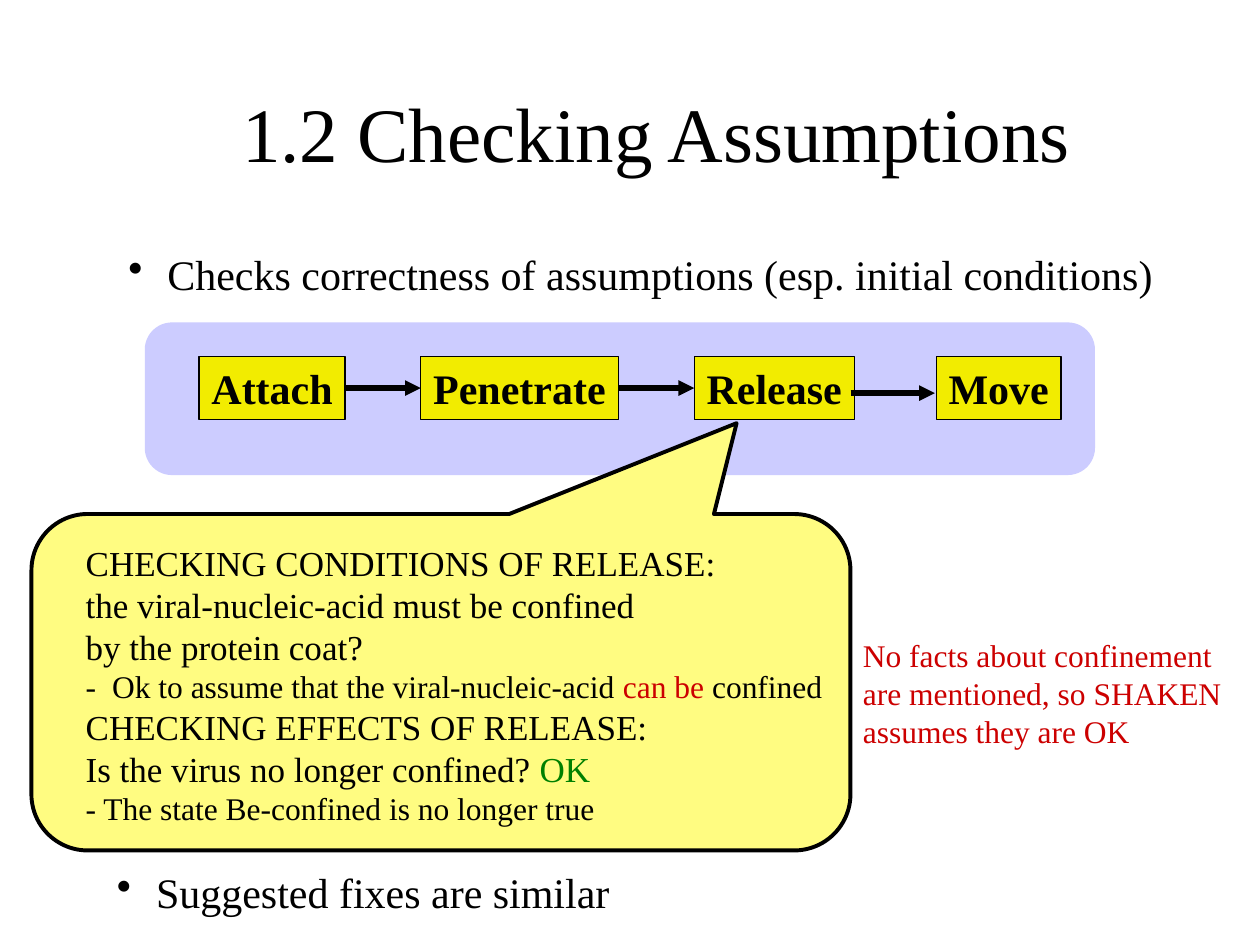
from dataclasses import dataclass

from pptx import Presentation, util as u
from pptx.dml.color import RGBColor
from pptx.enum import shapes, text
from pptx.oxml import ns, xmlchemy as xml

Inches, Pt = u.Inches, u.Pt


@dataclass(frozen=True)
class Theme:
    font: str = "Times New Roman"
    ink: str = "000000"
    panel: str = "CCCCFF"
    step: str = "F2EC00"
    callout: str = "FFFC81"
    alert: str = "CC0000"
    good: str = "008000"
    title_size: int = 44
    body_size: int = 24
    callout_size: int = 20
    note_size: int = 18


THEME = Theme()


def append_element(parent, tag, **attributes):
    element = xml.OxmlElement(tag)
    for name, value in attributes.items():
        element.set(name, str(value))
    parent.append(element)
    return element


def set_attributes(target, values):
    for name, value in values.items():
        setattr(target, name, value)


def add_runs(paragraph, runs, size, bold=False):
    """Add (wording, colour) runs to a paragraph."""
    for wording, color in runs:
        run = paragraph.add_run()
        run.text = wording
        set_attributes(run.font, {"name": THEME.font, "size": Pt(size), "bold": bold})
        run.font.color.rgb = RGBColor.from_string(color)


def format_frame(shape, **changes):
    """Set the usual margins and wrapping, with changes where given."""
    frame = shape.text_frame
    values = {"margin_left": Inches(0.1), "margin_right": Inches(0.1),
              "margin_top": Inches(0.05), "margin_bottom": Inches(0.05),
              "word_wrap": True, "vertical_anchor": text.MSO_ANCHOR.TOP}
    set_attributes(frame, {**values, **changes})
    return frame


def add_text_box(slide, box, **changes):
    return format_frame(slide.shapes.add_textbox(*map(Inches, box)), **changes)


def add_filled_shape(slide, kind, box, fill, line, width):
    shape = slide.shapes.add_shape(kind, *map(Inches, box))
    shape.shadow.inherit = False
    shape.fill.solid()
    shape.fill.fore_color.rgb = RGBColor.from_string(fill)
    shape.line.color.rgb = RGBColor.from_string(line)
    shape.line.width = Pt(width)
    return shape


def add_arrow(slide, start, end):
    arrow = slide.shapes.add_connector(
        shapes.MSO_CONNECTOR.STRAIGHT, *map(Inches, (*start, *end)))
    arrow.line.color.rgb = RGBColor.from_string(THEME.ink)
    arrow.line.width = Pt(3)
    append_element(arrow.line._get_or_add_ln(), "a:tailEnd", type="triangle")
    append_element(arrow._element.find(ns.qn("p:spPr")), "a:effectLst")
    return arrow


def add_title(slide, box, wording):
    frame = add_text_box(slide, box, vertical_anchor=text.MSO_ANCHOR.MIDDLE)
    paragraph = frame.paragraphs[0]
    paragraph.alignment = text.PP_ALIGN.CENTER
    add_runs(paragraph, [(wording, THEME.ink)], THEME.title_size)


def add_bullet(slide, box, wording):
    paragraph = add_text_box(slide, box).paragraphs[0]
    properties = paragraph._p.get_or_add_pPr()
    indent = Inches(0.31)
    properties.set("marL", str(indent))
    properties.set("indent", str(-indent))
    append_element(properties, "a:buChar", char="•")
    add_runs(paragraph, [(wording, THEME.ink)], THEME.body_size)


def add_process(slide, box):
    """Draw the panel with its four steps and the arrows between them."""
    left, top, _, _ = box
    panel = add_filled_shape(slide, shapes.MSO_SHAPE.ROUNDED_RECTANGLE, box,
                             THEME.panel, THEME.panel, 3)
    panel.adjustments[0] = 0.167

    # Steps: name, offset from the panel, width
    steps = []
    for name, offset, width in (("Attach", 0.41, 1.16), ("Penetrate", 2.17, 1.57),
                                ("Release", 4.34, 1.27), ("Move", 6.26, 0.99)):
        step = add_filled_shape(slide, shapes.MSO_SHAPE.RECTANGLE,
                                (left + offset, top + 0.25, width, 0.5),
                                THEME.step, THEME.ink, 0.75)
        paragraph = format_frame(step, word_wrap=False).paragraphs[0]
        paragraph.alignment = text.PP_ALIGN.LEFT
        add_runs(paragraph, [(name, THEME.ink)], THEME.body_size, bold=True)
        steps.append(step)

    # Joined arrows, then the last one, which sits a little below the middle
    for before, after in zip(steps[:2], steps[1:3]):
        arrow = add_arrow(slide, (left, top), (left, top))
        arrow.begin_connect(before, 3)
        arrow.end_connect(after, 1)
    add_arrow(slide, (left + 5.58, top + 0.54), (left + 6.25, top + 0.54))


def add_callout(slide, box, lines):
    callout = add_filled_shape(slide, shapes.MSO_SHAPE.ROUNDED_RECTANGULAR_CALLOUT,
                               box, THEME.callout, THEME.ink, 2.25)
    for index, value in enumerate((0.361, -0.77, 0.167)):
        callout.adjustments[index] = value
    frame = format_frame(callout, margin_left=Inches(0.3), margin_right=0,
                         margin_top=Inches(0.03), margin_bottom=0,
                         vertical_anchor=text.MSO_ANCHOR.MIDDLE)
    for index, (size, runs) in enumerate(lines):
        paragraph = frame.add_paragraph() if index else frame.paragraphs[0]
        paragraph.alignment = text.PP_ALIGN.LEFT
        if "\t" in runs[0][0]:
            tabs = append_element(paragraph._p.get_or_add_pPr(), "a:tabLst")
            append_element(tabs, "a:tab", pos=Inches(0.21), algn="l")
        add_runs(paragraph, runs, size)


def add_side_note(slide, box, lines):
    frame = add_text_box(slide, box)
    for index, line in enumerate(lines):
        paragraph = frame.add_paragraph() if index else frame.paragraphs[0]
        add_runs(paragraph, [(line, THEME.alert)], THEME.note_size)


def main():
    presentation = Presentation()
    presentation.slide_width, presentation.slide_height = Inches(10), Inches(7.5)
    slide = presentation.slides.add_slide(presentation.slide_layouts[6])
    ink, large, small = THEME.ink, THEME.callout_size, THEME.note_size

    add_title(slide, (0.75, 0.42, 8.92, 1.25), "1.2 Checking Assumptions")
    add_process(slide, (1.17, 2.58, 7.5, 1.17))
    add_callout(slide, (0.25, 4.08, 6.5, 2.67), [
        (large, [("CHECKING CONDITIONS OF RELEASE:", ink)]),
        (large, [("the viral-nucleic-acid must be confined", ink)]),
        (large, [("by the protein coat?", ink)]),
        (small, [("-\tOk to assume that the viral-nucleic-acid ", ink),
                 ("can be", THEME.alert), (" confined", ink)]),
        (large, [("CHECKING EFFECTS OF RELEASE:", ink)]),
        (large, [("Is the virus no longer confined? ", ink), ("OK", THEME.good)]),
        (small, [("- The state Be-confined is no longer true", ink)]),
    ])
    add_bullet(slide, (0.92, 1.92, 8.58, 0.5),
               "Checks correctness of assumptions (esp. initial conditions)")
    add_side_note(slide, (6.75, 5, 3.08, 1), (
        "No facts about confinement",
        "are mentioned, so SHAKEN",
        "assumes they are OK"))
    add_bullet(slide, (0.83, 6.83, 8.58, 0.5), "Suggested fixes are similar")

    presentation.save("out.pptx")


if __name__ == "__main__":
    main()
